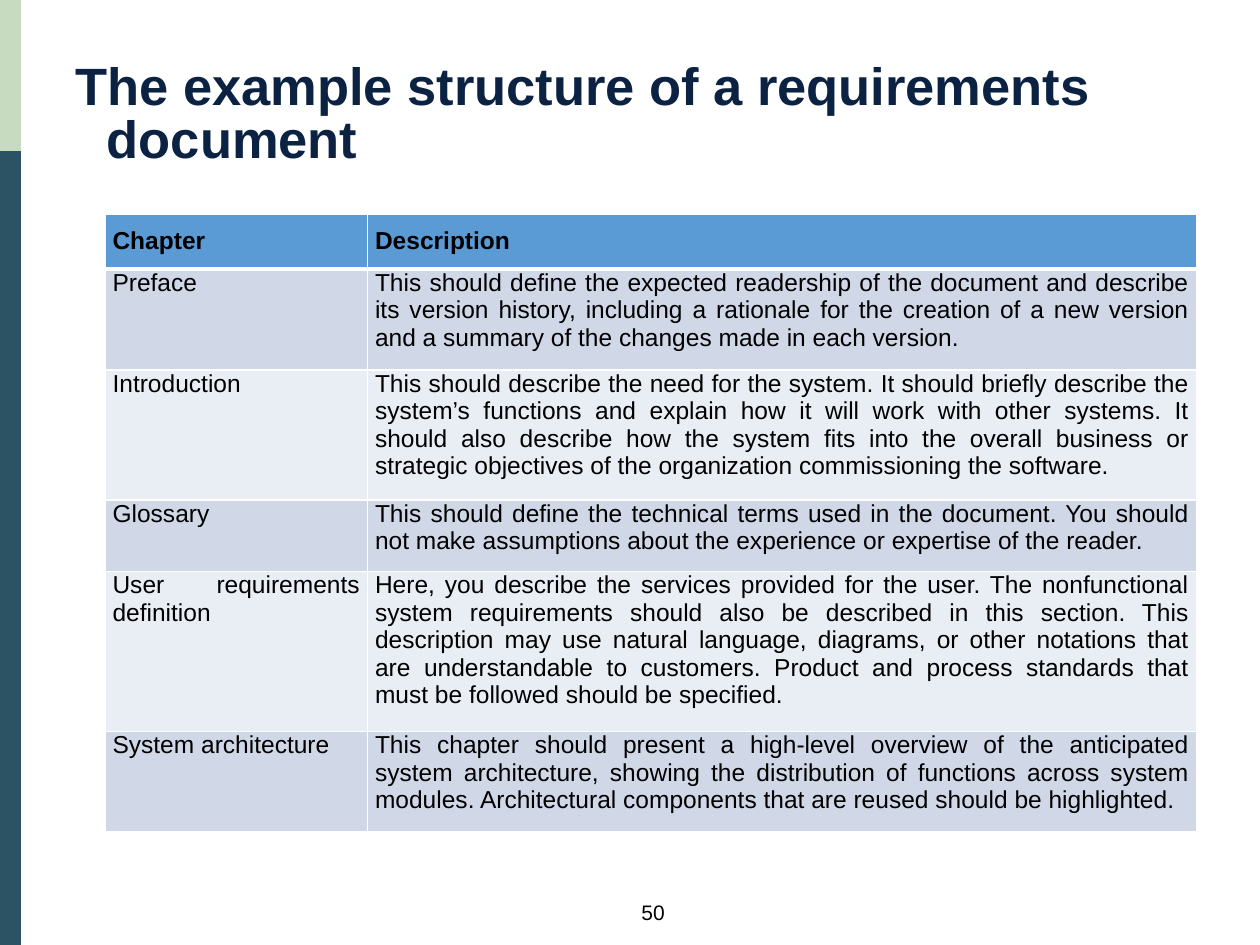
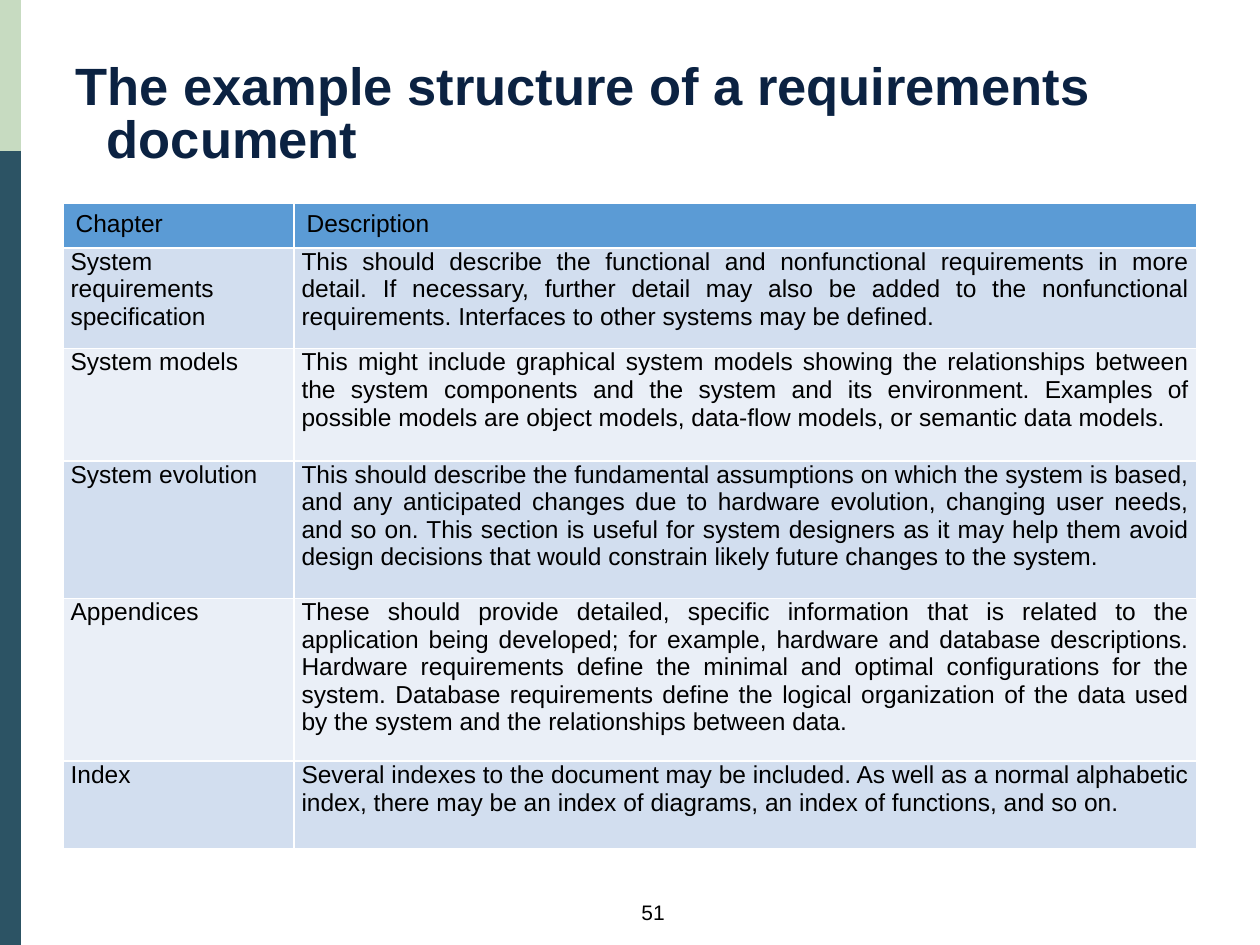
from lxml import etree
from pptx import Presentation
from pptx.dml.color import RGBColor
from pptx.enum.shapes import MSO_SHAPE
from pptx.enum.text import MSO_ANCHOR, PP_ALIGN
from pptx.oxml.ns import qn
from pptx.util import Inches, Pt

RECTANGLE = MSO_SHAPE.RECTANGLE
TOP = MSO_ANCHOR.TOP
LEFT, CENTER, JUSTIFY = PP_ALIGN.LEFT, PP_ALIGN.CENTER, PP_ALIGN.JUSTIFY

COLUMNS, ROWS = 120, 90
UNIT = Inches(10) // COLUMNS
FONT = "Arial"
INK, NAVY, WHITE = "000000", "0B2242", "FFFFFF"
SAGE, TEAL, HEADER_BLUE = "C7DBC1", "2C5364", "5B9BD5"

BAND_BOX = (0, 0, 2, ROWS)
TITLE_BOX = (6, 5.5, 100.3, 8.2)
NUMBER_BOX = (53, 85.1, 18.4, 3.6)
SAGE_SHARE = 0.16
TITLE = "The example structure of a requirements document"
HEADINGS = ("Chapter", "Description")
BODY_INSETS = (0.06, 0, 0.06, 0.1)

PAGES = [
    dict(
        number=50,
        corner=(10, 20.4),
        widths=(25, 79),
        heights=[4.9] * 6,
        stripes=("D0D8E8", "E9EDF4"),
        header=dict(insets=(0.06, 0.1, 0.06, 0.1), align=JUSTIFY, bold=True),
        rule_below_header=3,
        chapters=[
            ("Preface",
             "This should define the expected readership of the document and describe its version "
             "history, including a rationale for the creation of a new version and a summary of the "
             "changes made in each version."),
            ("Introduction",
             "This should describe the need for the system. It should briefly describe the system’s "
             "functions and explain how it will work with other systems. It should also describe how "
             "the system fits into the overall business or strategic objectives of the organization "
             "commissioning the software."),
            ("Glossary",
             "This should define the technical terms used in the document. You should not make "
             "assumptions about the experience or expertise of the reader."),
            ("User requirements definition",
             "Here, you describe the services provided for the user. The nonfunctional system "
             "requirements should also be described in this section. This description may use natural "
             "language, diagrams, or other notations that are understandable to customers. Product and "
             "process standards that must be followed should be specified."),
            ("System architecture",
             "This chapter should present a high-level overview of the anticipated system "
             "architecture, showing the distribution of functions across system modules. Architectural "
             "components that are reused should be highlighted."),
        ],
    ),
    dict(
        number=51,
        corner=(6, 19.4),
        widths=(22, 86),
        heights=[4.2, 9.1, 10.7, 13.1, 15.5, 8.3],
        stripes=("D2DEEF", "EAEFF7"),
        header=dict(insets=(0.1, 0.05, 0.1, 0.05), align=LEFT, bold=False),
        rule_below_header=1,
        chapters=[
            ("System requirements specification",
             "This should describe the functional and nonfunctional requirements in more detail. If "
             "necessary, further detail may also be added to the nonfunctional requirements. "
             "Interfaces to other systems may be defined."),
            ("System models",
             "This might include graphical system models showing the relationships between the system "
             "components and the system and its environment. Examples of possible models are object "
             "models, data-flow models, or semantic data models."),
            ("System evolution",
             "This should describe the fundamental assumptions on which the system is based, and any "
             "anticipated changes due to hardware evolution, changing user needs, and so on. This "
             "section is useful for system designers as it may help them avoid design decisions that "
             "would constrain likely future changes to the system."),
            ("Appendices",
             "These should provide detailed, specific information that is related to the application "
             "being developed; for example, hardware and database descriptions. Hardware requirements "
             "define the minimal and optimal configurations for the system. Database requirements "
             "define the logical organization of the data used by the system and the relationships "
             "between data."),
            ("Index",
             "Several indexes to the document may be included. As well as a normal alphabetic index, "
             "there may be an index of diagrams, an index of functions, and so on."),
        ],
    ),
]


def rgb(hex_color):
    return RGBColor.from_string(hex_color)


def grid(*cells):
    return [round(cell * UNIT) for cell in cells]


def write(frame, text, size=14, color=INK, bold=False, align=LEFT, hanging=0, leading=None):
    frame.word_wrap = True
    paragraph = frame.paragraphs[0]
    paragraph.alignment = align
    if hanging:
        properties = paragraph._p.get_or_add_pPr()
        properties.set("marL", str(Inches(hanging)))
        properties.set("indent", str(-Inches(hanging)))
    if leading:
        paragraph.line_spacing = Pt(leading)
    run = paragraph.add_run()
    run.text = text
    run.font.name = FONT
    run.font.size = Pt(size)
    run.font.bold = bold
    run.font.color.rgb = rgb(color)


def add_text(slide, box, text, **style):
    frame = slide.shapes.add_textbox(*grid(*box)).text_frame
    frame.vertical_anchor = TOP
    write(frame, text, **style)


def add_side_band(slide, box):
    left, top, width, height = box
    split = height * SAGE_SHARE
    for color, start, length in ((SAGE, 0, split), (TEAL, split, height - split)):
        band = slide.shapes.add_shape(RECTANGLE, *grid(left, top + start, width, length))
        band.shadow.inherit = False
        band.fill.solid()
        band.fill.fore_color.rgb = rgb(color)
        band.line.fill.background()


def set_borders(cell, top=1, bottom=1):
    properties = cell._tc.get_or_add_tcPr()
    for side, width in (("L", 1), ("R", 1), ("T", top), ("B", bottom)):
        line = etree.SubElement(properties, qn(f"a:ln{side}"), w=str(Pt(width)))
        fill = etree.SubElement(line, qn("a:solidFill"))
        etree.SubElement(fill, qn("a:srgbClr"), val=WHITE)


def fill_cell(cell, text, color, insets, top=1, bottom=1, **style):
    set_borders(cell, top, bottom)
    cell.fill.solid()
    cell.fill.fore_color.rgb = rgb(color)
    cell.margin_left, cell.margin_top, cell.margin_right, cell.margin_bottom = map(Inches, insets)
    cell.vertical_anchor = TOP
    write(cell.text_frame, text, **style)


def add_chapter_table(slide, box, page):
    entries = [HEADINGS, *page["chapters"]]
    table = slide.shapes.add_table(len(entries), len(HEADINGS), *grid(*box)).table
    table.horz_banding = False
    for column, width in zip(table.columns, grid(*page["widths"])):
        column.width = width
    for row, height in zip(table.rows, grid(*page["heights"])):
        row.height = height
    rule = page["rule_below_header"]
    for row_index, entry in enumerate(entries):
        if row_index == 0:
            style = dict(color_fill=HEADER_BLUE, bottom=rule, **page["header"])
        else:
            style = dict(color_fill=page["stripes"][(row_index - 1) % 2], insets=BODY_INSETS,
                         top=rule if row_index == 1 else 1, align=JUSTIFY)
        cell_color = style.pop("color_fill")
        for column_index, text in enumerate(entry):
            fill_cell(table.cell(row_index, column_index), text, cell_color, **style)


def add_chapter_slide(deck, page):
    slide = deck.slides.add_slide(deck.slide_layouts[6])
    slide.background.fill.solid()
    slide.background.fill.fore_color.rgb = rgb(WHITE)
    add_side_band(slide, BAND_BOX)
    add_text(slide, NUMBER_BOX, str(page["number"]), size=12, align=CENTER)
    add_text(slide, TITLE_BOX, TITLE, size=30, color=NAVY, bold=True, hanging=0.25, leading=30)
    table_box = (*page["corner"], sum(page["widths"]), sum(page["heights"]))
    add_chapter_table(slide, table_box, page)


def main():
    deck = Presentation()
    deck.slide_width, deck.slide_height = grid(COLUMNS, ROWS)
    for page in PAGES:
        add_chapter_slide(deck, page)
    deck.save("out.pptx")


if __name__ == "__main__":
    main()
